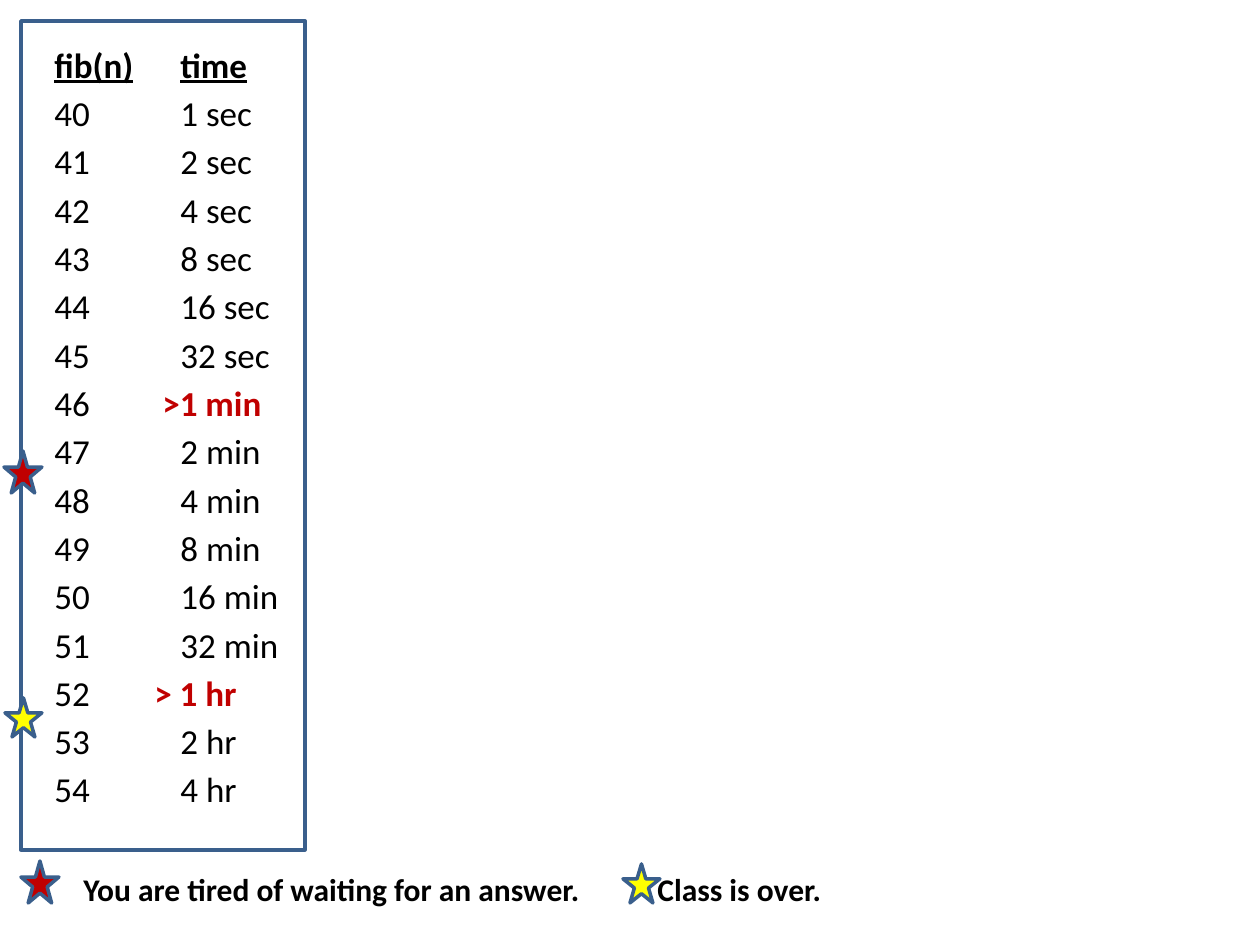
from lxml.etree import SubElement
from pptx import Presentation
from pptx.dml.color import RGBColor
from pptx.enum.shapes import MSO_SHAPE
from pptx.oxml.ns import qn
from pptx.util import Emu, Pt

COLORS = {"text": "000000", "line": "3A5F8C", "tired": "C00000", "over": "FFFF00"}
TIMES = [
    "1 sec", "2 sec", "4 sec", "8 sec", "16 sec", "32 sec", ">1 min",
    "2 min", "4 min", "8 min", "16 min", "32 min", "> 1 hr", "2 hr", "4 hr",
]
FIRST_NUMBER = 40
TIME_TAB = 126
MILESTONE_TABS = {">1 min": 108, "> 1 hr": 100}
STARS = [
    ("tired", 4, 451, 38, 42),
    ("tired", 21, 861, 38, 42),
    ("over", 5, 698, 37, 39),
    ("over", 623, 864, 37, 39),
]


def px(length):
    return Emu(round(length * 914400 / 126))


def color(name):
    return RGBColor.from_string(COLORS[name])


class SlideBuilder:
    def __init__(self, slide, font="Calibri", line_width=2):
        self.slide = slide
        self.font = font
        self.line_width = Pt(line_width)

    def shape(self, kind, left, top, width, height, fill=None):
        shape = self.slide.shapes.add_shape(kind, px(left), px(top), px(width), px(height))
        shape.shadow.inherit = False
        if fill:
            shape.fill.solid()
            shape.fill.fore_color.rgb = color(fill)
        else:
            shape.fill.background()
        shape.line.color.rgb = color("line")
        shape.line.width = self.line_width
        return shape

    def text_box(self, left, top, width, height):
        box = self.slide.shapes.add_textbox(px(left), px(top), px(width), px(height))
        box.text_frame.word_wrap = True
        return box.text_frame

    def paragraph(self, frame, size, tab, space_before=0, bold=False):
        first = frame.paragraphs[0]
        para = frame.add_paragraph() if first.runs else first
        para.space_before = Pt(space_before)
        para.font.name = self.font
        para.font.size = Pt(size)
        para.font.bold = bold
        para.font.color.rgb = color("text")
        properties = para._p.get_or_add_pPr()
        tabs = SubElement(properties, qn("a:tabLst"))
        SubElement(tabs, qn("a:tab"), pos=str(px(tab)), algn="l")
        properties.append(properties.find(qn("a:defRPr")))
        return para

    def span(self, para, text, bold=None, underline=None, tint="text"):
        span = para.add_run()
        span.text = text
        span.font.name = self.font
        span.font.size = para.font.size
        span.font.bold = para.font.bold if bold is None else bold
        span.font.underline = underline
        span.font.color.rgb = color(tint)
        return span


def main():
    deck = Presentation()
    deck.slide_width, deck.slide_height = px(1260), px(945)
    page = SlideBuilder(deck.slides.add_slide(deck.slide_layouts[6]))

    timing = page.text_box(42, 37, 273, 813)
    heading = page.paragraph(timing, 20, TIME_TAB, 3.6)
    page.span(heading, "fib(n)", bold=True, underline=True)
    page.span(heading, "\t")
    page.span(heading, "time", bold=True, underline=True)
    for number, time in enumerate(TIMES, FIRST_NUMBER):
        milestone = time in MILESTONE_TABS
        row = page.paragraph(timing, 20, MILESTONE_TABS.get(time, TIME_TAB), 3.6)
        page.span(row, f"{number}\t")
        page.span(row, time, bold=milestone, tint="tired" if milestone else "text")

    page.shape(MSO_SHAPE.RECTANGLE, 21, 21, 284, 829)

    legend = page.text_box(71, 864, 1176, 50)
    caption = page.paragraph(legend, 18, 574, bold=True)
    page.span(caption, "You are tired of waiting for an answer.\tClass is over.")

    for fill, left, top, width, height in STARS:
        page.shape(MSO_SHAPE.STAR_5_POINT, left, top, width, height, fill)

    deck.save("out.pptx")


if __name__ == "__main__":
    main()
